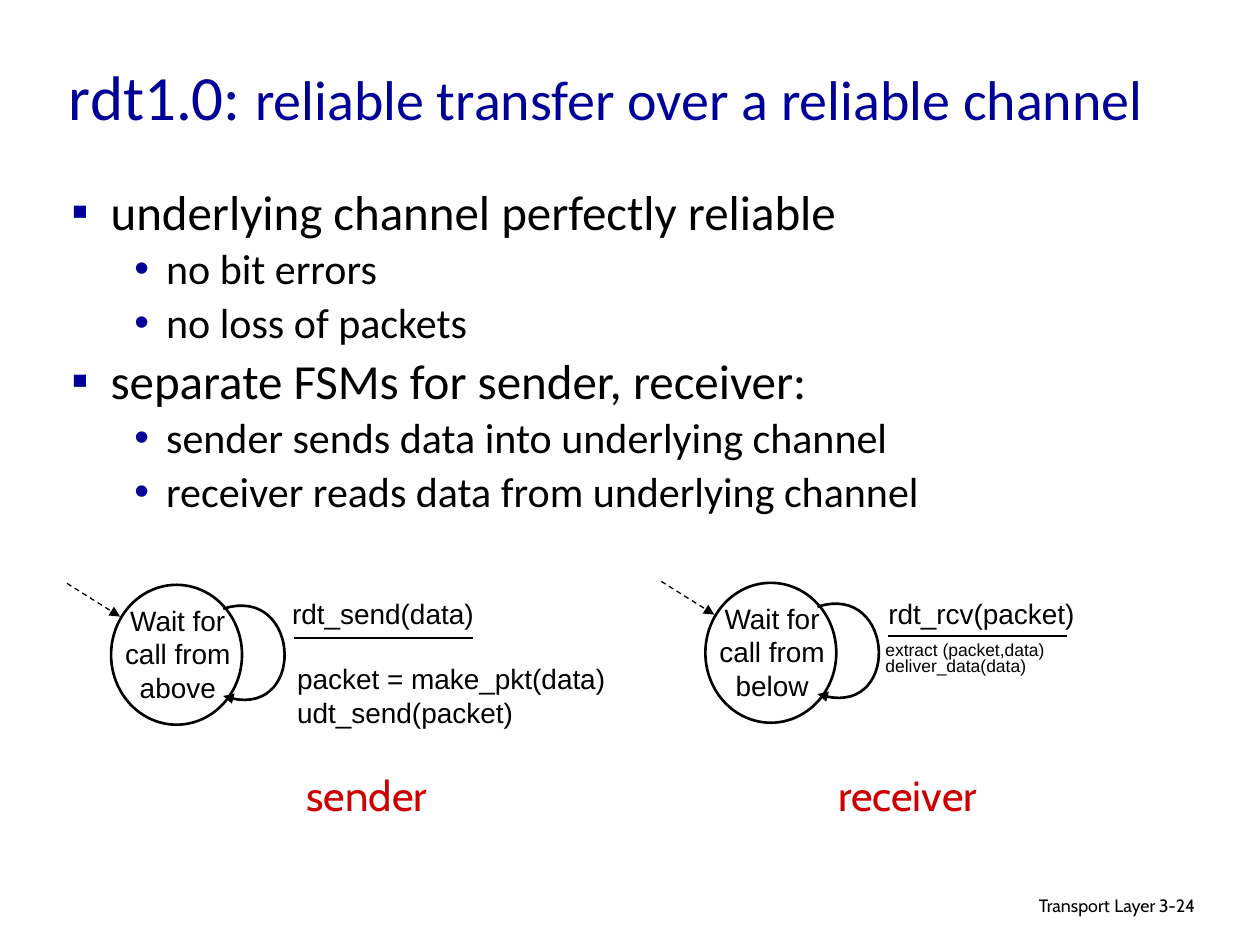
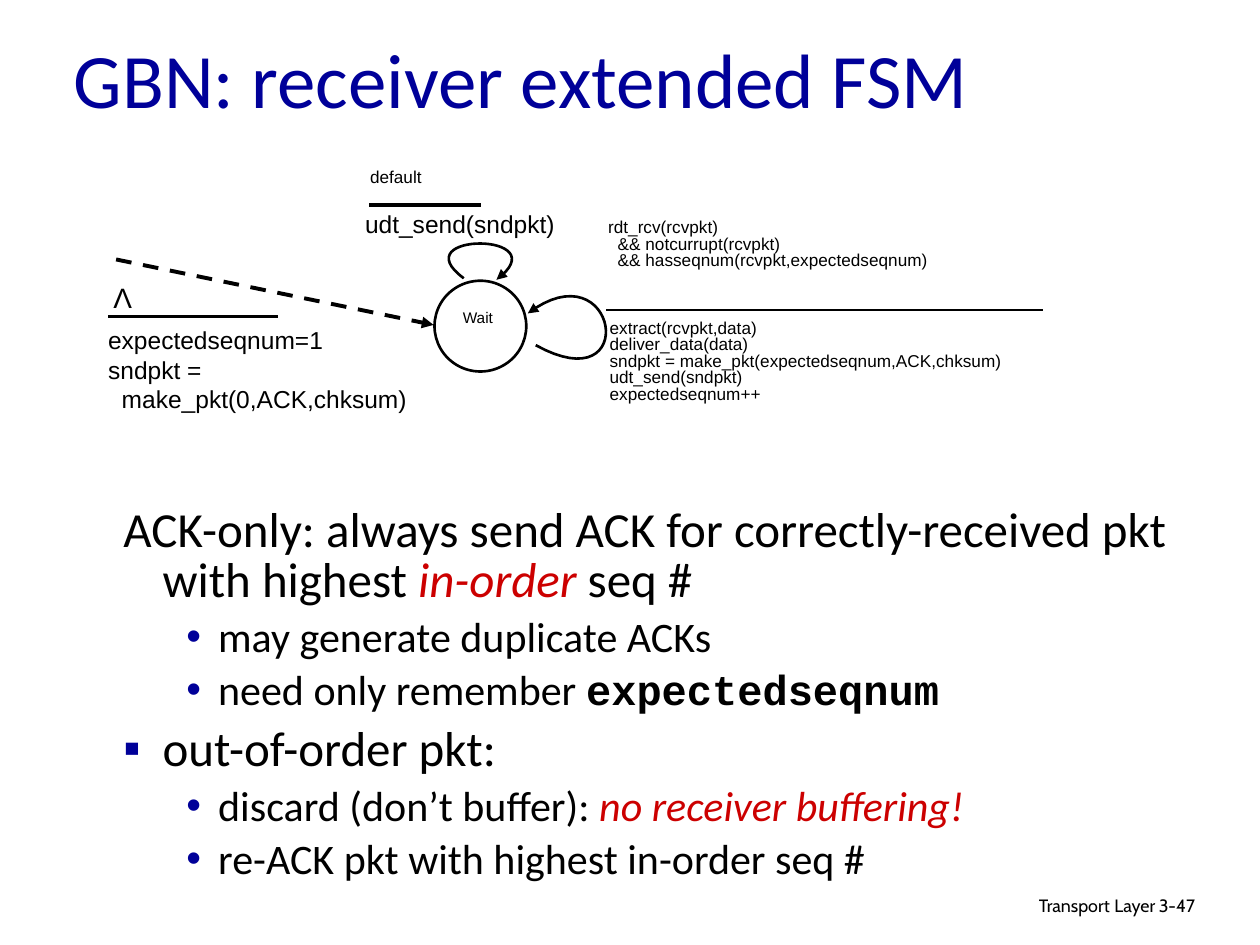
from lxml import etree
from pptx import Presentation
from pptx.dml.color import RGBColor
from pptx.enum.dml import MSO_LINE
from pptx.enum.shapes import MSO_CONNECTOR, MSO_SHAPE
from pptx.enum.text import MSO_ANCHOR, PP_ALIGN
from pptx.oxml.ns import qn
from pptx.util import Cm, Pt

LEFT, CENTER, RIGHT = PP_ALIGN.LEFT, PP_ALIGN.CENTER, PP_ALIGN.RIGHT
TOP, MIDDLE = MSO_ANCHOR.TOP, MSO_ANCHOR.MIDDLE
DASH, STRAIGHT, OVAL = MSO_LINE.DASH, MSO_CONNECTOR.STRAIGHT, MSO_SHAPE.OVAL

BLACK, WHITE, NAVY, RED = "000000", "FFFFFF", "000099", "CC0000"
HEADING, DIAGRAM, ACCENT, CODE = "Calibri", "Arial", "Cabin", "Courier New"
EMPHASIS = {"color": RED, "italic": True}
MONO = {"font": CODE, "bold": True}

LEVELS = [
    {"size": 28, "bullet": "▪", "indent": 0.79, "hanging": 0.79, "before": 7},
    {"size": 24, "bullet": "•", "indent": 1.91, "hanging": 0.64, "before": 6},
]
PLAIN_LEVEL = {**LEVELS[0], "bullet": None}

RDT = {
    "number": "3-24",
    "title": [("rdt1.0: ", {"size": 36}),
              ("reliable transfer over a reliable channel", {"size": 32})],
    "title_box": (1.14, 0.53, 22.23, 2.79),
    "body_box": (1.19, 3.71, 21.95, 8.38),
    "body": [
        (LEVELS[0], ["underlying channel perfectly reliable"]),
        (LEVELS[1], ["no bit errors"]),
        (LEVELS[1], ["no loss of packets"]),
        (LEVELS[0], ["separate FSMs for sender, receiver:"]),
        (LEVELS[1], ["sender sends data into underlying channel"]),
        (LEVELS[1], ["receiver reads data from underlying channel"]),
    ],
}
GBN = {
    "number": "3-47",
    "title": [("GBN: receiver extended FSM", {"size": 44})],
    "title_box": (1.24, 0.58, 21.59, 1.96),
    "body_box": (2.24, 10.11, 22.63, 7.92),
    "body": [
        (PLAIN_LEVEL, ["ACK-only: always send ACK for correctly-received pkt with highest ",
                       ("in-order", EMPHASIS), " seq #"]),
        (LEVELS[1], ["may generate duplicate ACKs"]),
        (LEVELS[1], ["need only remember ", ("expectedseqnum", MONO)]),
        (LEVELS[0], ["out-of-order pkt:"]),
        (LEVELS[1], ["discard (don’t buffer): ", ("no receiver buffering!", EMPHASIS)]),
        (LEVELS[1], ["re-ACK pkt with highest in-order seq #"]),
    ],
}

MACHINES = [
    {
        "origin": (2.24, 11.79),
        "state": "Wait for call from above",
        "event": ((5.64, 11.91, 6.27, 1.19), ["rdt_send(data)"], {}),
        "action": ((5.74, 13.21, 7.44, 1.65),
                   ["packet = make_pkt(data)", "udt_send(packet)"], {}),
        "role": ((5.77, 15.39, 3.25, 1.27), "sender"),
    },
    {
        "origin": (14.22, 11.75),
        "state": "Wait for call from below",
        "event": ((17.65, 11.91, 4.27, 0.94), ["rdt_rcv(packet)"],
                  {"align": CENTER, "wrap": False}),
        "action": ((17.6, 12.83, 6.91, 1.19),
                   ["extract (packet,data)", "deliver_data(data)"],
                   {"size": 10, "spacing": 0.8}),
        "role": ((16.46, 15.39, 3.68, 1.27), "receiver"),
    },
]
SELF_LOOP = [(2.26, 0.48), (3.86, -0.03), (3.96, 2.82), (2.26, 2.24)]

SMALL = {"size": 9.8, "spacing": 0.8}
GBN_LABELS = [
    ((8.53, 6.15, 2.21, 0.66), ["Wait"], {"size": 8.8, "spacing": 0.8, "align": CENTER}),
    ((7.11, 4.09, 4.5, 0.86), ["udt_send(sndpkt)"], {"size": 14}),
    ((7.21, 3.3, 2.01, 0.69), ["default"], SMALL),
    ((12.01, 4.32, 9.91, 1.57),
     ["rdt_rcv(rcvpkt)", "  && notcurrupt(rcvpkt)",
      "  && hasseqnum(rcvpkt,expectedseqnum)"], SMALL),
    ((12.04, 6.35, 11.99, 2.39),
     ["extract(rcvpkt,data)", "deliver_data(data)",
      "sndpkt = make_pkt(expectedseqnum,ACK,chksum)",
      "udt_send(sndpkt)", "expectedseqnum++"], SMALL),
    ((1.93, 6.43, 10.11, 2.72),
     ["expectedseqnum=1", "sndpkt =", "  make_pkt(0,ACK,chksum)"], {"size": 14}),
    ((2.03, 5.54, 0.89, 0.94), ["Λ"], {"align": CENTER, "wrap": False}),
]
GBN_RULES = [
    ((7.44, 4.14), (9.7, 4.14), 2.25),
    ((12.22, 6.25), (21.03, 6.25), 1.5),
    ((2.18, 6.38), (5.61, 6.38), 2.25),
]
GBN_LOOPS = [
    [(10.8, 6.96), (12.95, 8.15), (12.45, 4.95), (10.64, 6.32)],
    [(9.35, 5.61), (8.08, 4.67), (11.3, 4.67), (10.01, 5.64)],
]


def rgb(value):
    return RGBColor.from_string(value)


def add_box(slide, box, anchor=TOP, wrap=True):
    frame = slide.shapes.add_textbox(*map(Cm, box)).text_frame
    frame.word_wrap = wrap
    frame.vertical_anchor = anchor
    return frame


def next_paragraph(frame, index):
    return frame.add_paragraph() if index else frame.paragraphs[0]


def add_run(paragraph, text, size, font, color=BLACK, bold=False, italic=False):
    run = paragraph.add_run()
    run.text = text
    run.font.size = Pt(size)
    run.font.name = font
    run.font.bold = bold
    run.font.italic = italic
    run.font.color.rgb = rgb(color)


def add_label(slide, box, lines, size=16, font=DIAGRAM, color=BLACK,
              align=LEFT, spacing=1.0, wrap=True):
    frame = add_box(slide, box, wrap=wrap)
    for index, text in enumerate(lines):
        paragraph = next_paragraph(frame, index)
        paragraph.alignment = align
        paragraph.line_spacing = spacing
        add_run(paragraph, text, size, font, color)


def add_bullet(paragraph, level):
    properties = paragraph._p.get_or_add_pPr()
    properties.set("marL", str(Cm(level["indent"])))
    properties.set("indent", str(-Cm(level["hanging"])))
    if not level["bullet"]:
        etree.SubElement(properties, qn("a:buNone"))
        return
    color = etree.SubElement(properties, qn("a:buClr"))
    etree.SubElement(color, qn("a:srgbClr"), val=NAVY)
    etree.SubElement(properties, qn("a:buFont"), typeface=DIAGRAM)
    etree.SubElement(properties, qn("a:buChar"), char=level["bullet"])


def add_body(slide, box, items):
    frame = add_box(slide, box)
    for index, (level, parts) in enumerate(items):
        paragraph = next_paragraph(frame, index)
        add_bullet(paragraph, level)
        paragraph.line_spacing = 0.85
        if index:
            paragraph.space_before = Pt(level["before"])
        for part in parts:
            text, style = (part, {}) if isinstance(part, str) else part
            add_run(paragraph, text, **{"size": level["size"], "font": HEADING, **style})


def add_footer(slide, number):
    paragraph = add_box(slide, (15.49, 17.91, 8.05, 0.79)).paragraphs[0]
    paragraph.alignment = RIGHT
    paragraph.line_spacing = 0.9
    for text, size in (("Transport", 10.2), (" ", 11.9), ("Layer", 10.2)):
        add_run(paragraph, text, size, ACCENT)
    add_label(slide, (23.11, 17.96, 1.88, 0.76), [number], 10.2, ACCENT, spacing=0.9)


def start_slide(deck, content):
    slide = deck.slides.add_slide(deck.slide_layouts[6])
    add_footer(slide, content["number"])
    heading = add_box(slide, content["title_box"], MIDDLE).paragraphs[0]
    for text, style in content["title"]:
        add_run(heading, text, font=HEADING, color=NAVY, **style)
    add_body(slide, content["body_box"], content["body"])
    return slide


def style_line(shape, width, dashed=False, arrow=False):
    shape.line.color.rgb = rgb(BLACK)
    shape.line.width = Pt(width)
    if dashed:
        shape.line.dash_style = DASH
    if arrow:
        outline = shape._element.spPr.find(qn("a:ln"))
        etree.SubElement(outline, qn("a:tailEnd"), type="triangle")


def add_line(slide, start, end, width, **style):
    line = slide.shapes.add_connector(STRAIGHT, *map(Cm, start + end))
    style_line(line, width, **style)
    etree.SubElement(line._element.spPr, qn("a:effectLst"))


def add_state(slide, box):
    state = slide.shapes.add_shape(OVAL, *map(Cm, box))
    state.shadow.inherit = False
    state.fill.solid()
    state.fill.fore_color.rgb = rgb(WHITE)
    style_line(state, 1.5)


def bezier_point(controls, t):
    weights = ((1 - t) ** 3, 3 * t * (1 - t) ** 2, 3 * t * t * (1 - t), t ** 3)
    return tuple(Cm(sum(w * c for w, c in zip(weights, axis))) for axis in zip(*controls))


def add_loop(slide, controls, steps=32):
    points = [bezier_point(controls, step / steps) for step in range(steps + 1)]
    builder = slide.shapes.build_freeform(*points[0])
    builder.add_line_segments(points[1:], close=False)
    loop = builder.convert_to_shape()
    loop.shadow.inherit = False
    loop.fill.background()
    style_line(loop, 1.5, arrow=True)


def add_machine(slide, machine):
    left, top = machine["origin"]

    def at(x, y):
        return left + x, top + y

    add_state(slide, (left, top, 2.64, 2.82))
    add_label(slide, (*at(-0.18, 0.25), 3.05, 2.54), [machine["state"]], align=CENTER)
    add_loop(slide, [at(*point) for point in SELF_LOOP])
    add_line(slide, at(3.68, 1.07), at(7.29, 1.07), 1.5)
    add_line(slide, at(-0.89, -0.03), at(0.18, 0.64), 0.75, dashed=True, arrow=True)
    for part in ("event", "action"):
        box, lines, style = machine[part]
        add_label(slide, box, lines, **style)
    box, role = machine["role"]
    add_label(slide, box, [role], 24, ACCENT, RED, CENTER, wrap=False)


def main():
    deck = Presentation()
    deck.slide_width, deck.slide_height = Cm(25.4), Cm(19.05)

    rdt = start_slide(deck, RDT)
    for machine in MACHINES:
        add_machine(rdt, machine)

    gbn = start_slide(deck, GBN)
    add_state(gbn, (8.76, 5.66, 1.85, 1.83))
    add_line(gbn, (2.34, 5.23), (8.74, 6.55), 2.25, dashed=True, arrow=True)
    for start, end, width in GBN_RULES:
        add_line(gbn, start, end, width)
    for controls in GBN_LOOPS:
        add_loop(gbn, controls)
    for box, lines, style in GBN_LABELS:
        add_label(gbn, box, lines, **style)

    deck.save("out.pptx")


if __name__ == "__main__":
    main()
